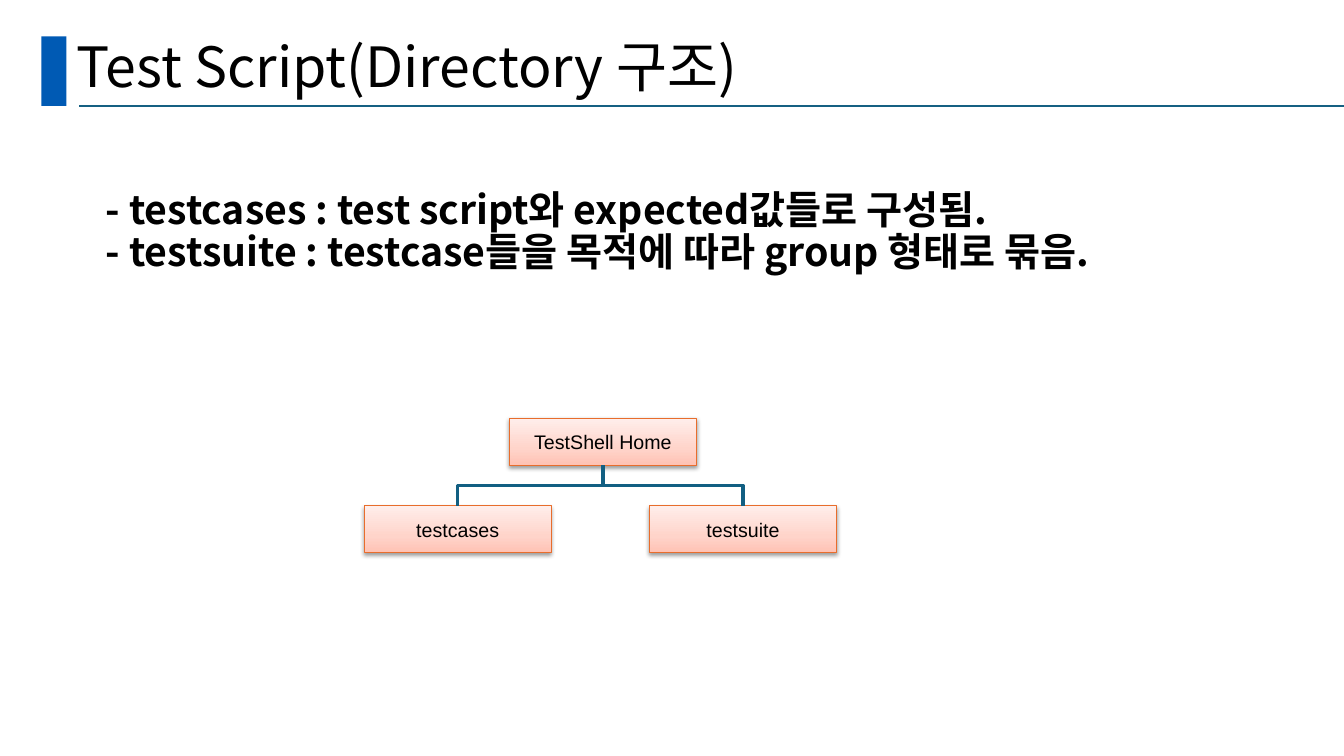
"""Build the slide on the test script directory structure."""
from lxml import etree
from pptx import Presentation
from pptx.dml.color import RGBColor
from pptx.enum import shapes, text
from pptx.oxml import ns
from pptx.util import Pt

SANS = "Noto Sans CJK KR"
NODE_W, NODE_H = 133.5, 33.5
GRAD = [(0, "FFC2B4"), (35, "FFD4CA"), (100, "FFEEEB")]
NOTES = [
    "- testcases : test script와 expected값들로 구성됨.",
    "- testsuite : testcase들을 목적에 따라 group 형태로 묶음.",
]


def paint(color, value):
    color.rgb = RGBColor.from_string(value)


def sub(parent, tag, **attrs):
    node = etree.SubElement(parent, ns.qn(tag))
    for key, value in attrs.items():
        node.set(key, str(value))
    return node


def style(para, size, font, bold=False, gap=1.0, align=text.PP_ALIGN.LEFT):
    para.alignment = align
    para.line_spacing = gap
    for run in para.runs:
        run.font.size = Pt(size)
        run.font.name = font
        run.font.bold = bold
        paint(run.font.color, "000000")
        sub(run.font._element, "a:ea", typeface=font)


def add_title(slide, words):
    title = slide.shapes.title
    title.left, title.top, title.width, title.height = map(Pt, (47.5, 24.5, 828, 51))
    frame = title.text_frame
    frame.text = words
    frame.auto_size = text.MSO_AUTO_SIZE.NONE
    frame.vertical_anchor = text.MSO_ANCHOR.MIDDLE
    style(frame.paragraphs[0], 39.6, SANS, gap=0.9)


def add_rect(slide, x, y, w, h):
    rect = slide.shapes.add_shape(shapes.MSO_SHAPE.RECTANGLE, *map(Pt, (x, y, w, h)))
    rect.shadow.inherit = False
    return rect


def add_bar(slide):
    bar = add_rect(slide, 29.5, 26, 18, 49.7)
    bar.fill.solid()
    paint(bar.fill.fore_color, "005AB4")
    bar.line.fill.background()


def add_line(slide, kind, ends, color, width):
    line = slide.shapes.add_connector(kind, *map(Pt, ends))
    paint(line.line.color, color)
    line.line.width = Pt(width)
    sub(line._element.spPr, "a:effectLst")
    return line


def add_notes(slide, lines):
    box = slide.shapes.add_textbox(*map(Pt, (47.5, 132.5, 828, 86)))
    frame = box.text_frame
    frame.word_wrap = True
    frame.margin_left = Pt(28)
    frame.text = "\n".join(lines)
    for para in frame.paragraphs:
        style(para, 28, SANS, bold=True, gap=0.9)


def add_node(slide, words, x, y):
    node = add_rect(slide, x, y, NODE_W, NODE_H)
    node.fill.gradient()
    node.fill.gradient_angle = 90
    props = node._element.spPr
    stops = props.find(ns.qn("a:gradFill")).find(ns.qn("a:gsLst"))
    for stop in list(stops):
        stops.remove(stop)
    for pos, value in GRAD:
        sub(sub(stops, "a:gs", pos=pos * 1000), "a:srgbClr", val=value)
    paint(node.line.color, "E86D2C")
    node.line.width = Pt(0.75)
    glow = sub(props.find(ns.qn("a:effectLst")), "a:outerShdw", blurRad=Pt(3.1),
               dist=Pt(1.6), dir=5400000, rotWithShape=0)
    sub(sub(glow, "a:srgbClr", val="000000"), "a:alpha", val=38000)
    node.text_frame.text = words
    node.text_frame.vertical_anchor = text.MSO_ANCHOR.MIDDLE
    style(node.text_frame.paragraphs[0], 14, "Arial", align=text.PP_ALIGN.CENTER)
    return node


def add_link(slide, home, kid):
    link = add_line(slide, shapes.MSO_CONNECTOR.ELBOW, (0, 0, 0, 0), "125F82", 2.25)
    link.begin_connect(home, 2)
    link.end_connect(kid, 0)
    right = kid.left > home.left
    span, drop = abs(kid.left - home.left), kid.top - home.top - home.height
    mid_x = (home.left + kid.left + home.width) // 2
    mid_y = kid.top - drop // 2
    link.left, link.top = mid_x - drop // 2, mid_y - span // 2
    link.width, link.height = drop, span
    frame = link._element.spPr.find(ns.qn("a:xfrm"))
    frame.set("rot", str((270 if right else 90) * 60000))
    frame.set("flipH", str(int(right)))


def main():
    deck = Presentation()
    deck.slide_width, deck.slide_height = Pt(960), Pt(540)
    slide = deck.slides.add_slide(deck.slide_layouts[5])
    add_bar(slide)
    add_line(slide, shapes.MSO_CONNECTOR.STRAIGHT, (56.5, 75.7, 960, 75.7), "156082", 1.5)
    add_title(slide, "Test Script(Directory 구조)")
    add_notes(slide, NOTES)
    home = add_node(slide, "TestShell Home", 364, 298.8)
    kids = [add_node(slide, words, x, 361.3)
            for words, x in (("testcases", 260.2), ("testsuite", 464))]
    for kid in kids:
        add_link(slide, home, kid)
    deck.save("out.pptx")


if __name__ == "__main__":
    main()
